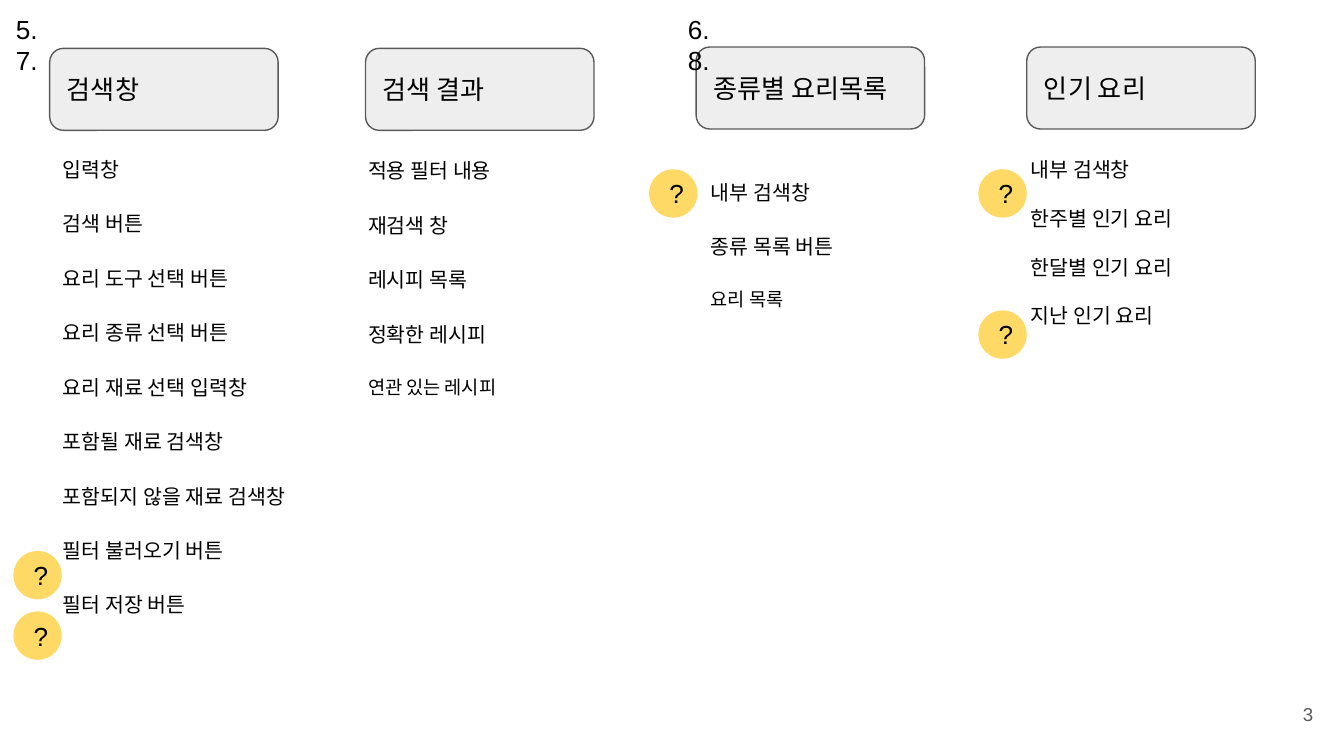
from lxml.etree import SubElement
from pptx import Presentation
from pptx.dml.color import RGBColor
from pptx.enum.shapes import MSO_SHAPE
from pptx.enum.text import MSO_ANCHOR, PP_ALIGN
from pptx.oxml.ns import qn
from pptx.util import Inches, Pt

COLORS = {"ink": "000000", "gray": "595959", "card": "EEEEEE", "mark": "FFD966"}
CELL = 0.1
WIDE, HIGH = 100, 56.25


def grid(*spans):
    return [Inches(span * CELL) for span in spans]


def color(name):
    return RGBColor.from_string(COLORS[name])


def write(shape, lines, size=14, ink="ink", font="Arial", anchor=MSO_ANCHOR.TOP,
          align=PP_ALIGN.LEFT, space=None, gap=None, last=None, tab=None):
    frame = shape.text_frame
    frame.word_wrap = True
    frame.vertical_anchor = anchor
    frame.margin_left, frame.margin_top, frame.margin_right, frame.margin_bottom = grid(1, 1, 1, 1)
    for i, line in enumerate(lines):
        para = frame.paragraphs[0] if i == 0 else frame.add_paragraph()
        para.alignment = align
        if gap:
            para.line_spacing, para.space_before = space, Pt(gap)
        if tab:
            stops = SubElement(para._p.get_or_add_pPr(), qn("a:tabLst"))
            SubElement(stops, qn("a:tab"), pos=str(grid(tab)[0]), algn="l")
        run = para.add_run()
        run.text = line
        run.font.name = font
        run.font.size = Pt(last if last and line == lines[-1] else size)
        run.font.color.rgb = color(ink)


class Deck:
    def __init__(self):
        self.show = Presentation()
        self.show.slide_width, self.show.slide_height = grid(WIDE, HIGH)
        self.slide = self.show.slides.add_slide(self.show.slide_layouts[6])

    def text(self, box, lines, **style):
        write(self.slide.shapes.add_textbox(*grid(*box)), lines, **style)

    def shape(self, kind, box, fill, label, line=None):
        shape = self.slide.shapes.add_shape(kind, *grid(*box))
        shape.shadow.inherit = False
        shape.fill.solid()
        shape.fill.fore_color.rgb = color(fill)
        if line:
            shape.line.color.rgb = color(line)
            shape.line.width = Pt(0.75)
        else:
            shape.line.fill.background()
        write(shape, [label], anchor=MSO_ANCHOR.MIDDLE)

    def card(self, col, row, label):
        self.shape(MSO_SHAPE.ROUNDED_RECTANGLE, (col, row, 17, 6.1), "card", label, "gray")

    def items(self, col, row, lines, gap=14, last=None):
        self.text((col, row, 20.8, 42.3), lines, size=11, space=1.15, gap=gap, last=last)

    def mark(self, col, row):
        self.shape(MSO_SHAPE.OVAL, (col, row, 3.6, 3.6), "mark", "?")


PARTS = [
    ("검색창", (3.7, 3.6), (3.7, 10.4),
     ["입력창", "검색 버튼", "요리 도구 선택 버튼", "요리 종류 선택 버튼", "요리 재료 선택 입력창",
      "포함될 재료 검색창", "포함되지 않을 재료 검색창", "필터 불러오기 버튼", "필터 저장 버튼"], {}),
    ("검색 결과", (27.2, 3.6), (26.4, 10.5),
     ["적용 필터 내용", "재검색 창", "레시피 목록", "정확한 레시피", "연관 있는 레시피"], {"last": 10}),
    ("종류별 요리목록", (51.8, 3.5), (51.9, 12.1),
     ["내부 검색창", "종류 목록 버튼", "요리 목록"], {"last": 10}),
    ("인기 요리", (76.4, 3.5), (75.7, 10.4),
     ["내부 검색창", "한주별 인기 요리", "한달별 인기 요리", "지난 인기 요리"], {"gap": 11}),
]
MARKS = [(48.3, 12.6), (72.8, 12.6), (72.8, 23.1), (1, 41), (1, 45.5)]

deck = Deck()
for title, head, body, lines, style in PARTS:
    deck.card(*head, title)
    deck.items(*body, lines, **style)
for spot in MARKS:
    deck.mark(*spot)
deck.text((0.2, 0, 99.5, 3.6), ["5.\t6.", "7.\t8."], tab=50)
deck.text((92.7, 51, 6, 4.3), ["3"], size=10, ink="gray",
          anchor=MSO_ANCHOR.MIDDLE, align=PP_ALIGN.RIGHT)
deck.show.save("out.pptx")
